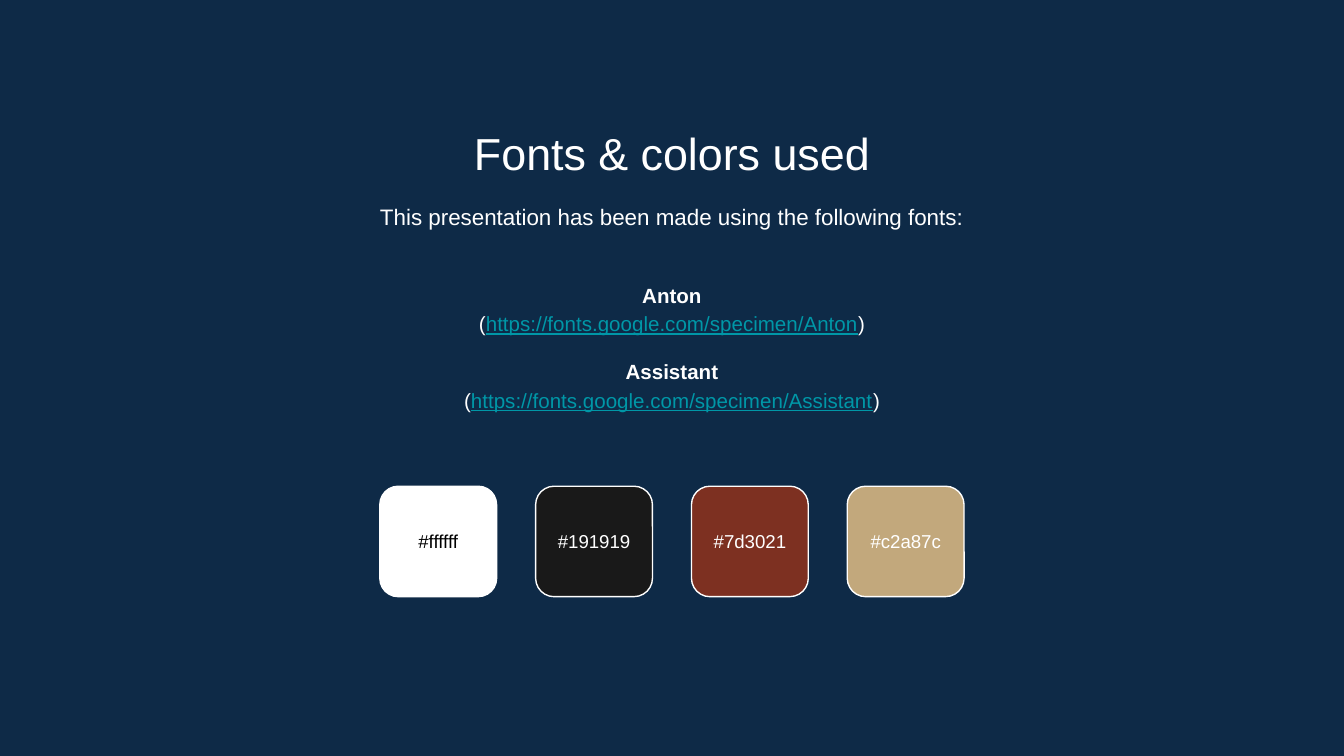
from pptx import Presentation
from pptx.dml.color import RGBColor
from pptx.enum.shapes import MSO_SHAPE
from pptx.enum.text import MSO_ANCHOR, PP_ALIGN
from pptx.util import Pt

ROUNDED = MSO_SHAPE.ROUNDED_RECTANGLE
TOP, MIDDLE = MSO_ANCHOR.TOP, MSO_ANCHOR.MIDDLE
CENTER = PP_ALIGN.CENTER

NAVY = RGBColor(0x0E, 0x2A, 0x47)
WHITE = RGBColor(0xFF, 0xFF, 0xFF)
BLACK = RGBColor(0x00, 0x00, 0x00)
TEAL = RGBColor(0x00, 0x97, 0xA7)

FONT = "Arial"
TITLE_ONLY = 5
LINE_SPACING = 1.15
FONT_GAP = 10.6
INSET = 7.2

FONTS = [
    ("Anton", "https://fonts.google.com/specimen/Anton"),
    ("Assistant", "https://fonts.google.com/specimen/Assistant"),
]
SWATCHES = [
    ("#ffffff", BLACK),
    ("#191919", WHITE),
    ("#7d3021", WHITE),
    ("#c2a87c", WHITE),
]


def add_span(para, text, size, color=WHITE, bold=False, underline=False):
    span = para.add_run()
    span.text = text
    font = span.font
    font.name = FONT
    font.size = Pt(size)
    font.color.rgb = color
    font.bold = bold
    font.underline = underline


def set_frame(frame, anchor, inset=INSET):
    frame.word_wrap = True
    frame.vertical_anchor = anchor
    frame.margin_left = frame.margin_right = Pt(inset)
    frame.margin_top = frame.margin_bottom = Pt(inset)
    frame.paragraphs[0].alignment = CENTER


def place_title(page, left, top, width, height):
    title = page.shapes.title
    title.left, title.top = Pt(left), Pt(top)
    title.width, title.height = Pt(width), Pt(height)
    set_frame(title.text_frame, TOP)
    add_span(title.text_frame.paragraphs[0], "Fonts & colors used", 24)


def add_intro(page, left, top, width, height):
    box = page.shapes.add_textbox(Pt(left), Pt(top), Pt(width), Pt(height))
    set_frame(box.text_frame, TOP)
    para = box.text_frame.paragraphs[0]
    para.line_spacing = LINE_SPACING
    add_span(para, "This presentation has been made using the following fonts:", 12)


def add_font_list(page, left, top, width, height):
    box = page.shapes.add_textbox(Pt(left), Pt(top), Pt(width), Pt(height))
    frame = box.text_frame
    set_frame(frame, MIDDLE)
    for index, (name, address) in enumerate(FONTS):
        heading = frame.add_paragraph() if index else frame.paragraphs[0]
        if index:
            heading.space_before = Pt(FONT_GAP)
        add_span(heading, name, 11, bold=True)
        link = frame.add_paragraph()
        add_span(link, "(", 11)
        add_span(link, address, 11, TEAL, underline=True)
        add_span(link, ")", 11)
        for para in (heading, link):
            para.alignment = CENTER
            para.line_spacing = LINE_SPACING


def add_swatches(page, left, top, width, height, gap=20.9):
    """Spread the colour tiles evenly over the box, each labelled with its code."""
    count = len(SWATCHES)
    tile_width = (width - gap * (count - 1)) / count
    for index, (code, text_color) in enumerate(SWATCHES):
        tile = page.shapes.add_shape(
            ROUNDED, Pt(left + index * (tile_width + gap)), Pt(top),
            Pt(tile_width), Pt(height))
        tile.shadow.inherit = False
        tile.fill.solid()
        tile.fill.fore_color.rgb = RGBColor.from_string(code[1:].upper())
        tile.line.color.rgb = WHITE
        tile.line.width = Pt(0.75)
        set_frame(tile.text_frame, MIDDLE, inset=0)
        add_span(tile.text_frame.paragraphs[0], code, 10, text_color)


def main():
    deck = Presentation()
    deck.slide_width, deck.slide_height = Pt(720), Pt(405)
    page = deck.slides.add_slide(deck.slide_layouts[TITLE_ONLY])
    page.background.fill.solid()
    page.background.fill.fore_color.rgb = NAVY

    place_title(page, 82.5, 60, 555, 38)
    add_intro(page, 82.5, 99.4, 555, 34.6)
    add_font_list(page, 82.5, 136, 555, 98.6)
    add_swatches(page, 203.5, 260.5, 313, 59.2)
    deck.save("out.pptx")


if __name__ == "__main__":
    main()
